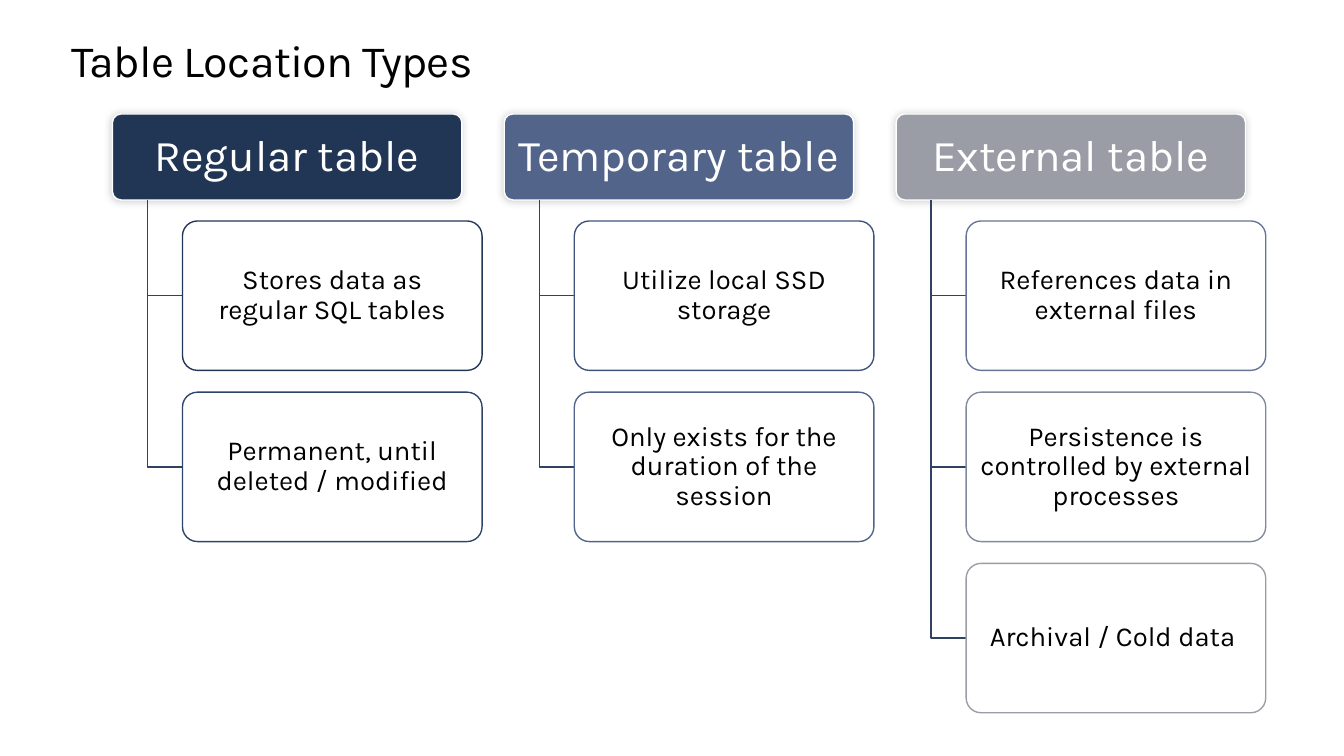
"""Build the slide that compares three table location types."""
from dataclasses import dataclass
from typing import Any

from lxml.etree import SubElement
from pptx import Presentation
from pptx.dml.color import RGBColor
from pptx.enum.shapes import MSO_SHAPE
from pptx.enum.text import MSO_ANCHOR as Anchor, MSO_AUTO_SIZE as AutoSize, PP_ALIGN as Align
from pptx.oxml.ns import qn
from pptx.util import Cm, Pt

FONT = "Karla"
BRANCH_COLOUR = "304162"
COLUMN_LEFT, COLUMN_PITCH = 2.89, 10.07
HEADER_TOP, HEADER_WIDTH, HEADER_HEIGHT = 2.93, 8.98, 2.21
CARD_TOP, CARD_PITCH, CARD_WIDTH, CARD_HEIGHT = 5.68, 4.4, 7.7, 3.84
INDENT = 0.9


@dataclass(frozen=True)
class Card:
    text: str
    outline: str


@dataclass(frozen=True)
class Column:
    title: str
    fill: str
    cards: tuple[Card, ...]


COLUMNS = (
    Column("Regular table", "213555", (
        Card("Stores data as regular SQL tables", "213555"),
        Card("Permanent, until deleted / modified", "2F4469"),
    )),
    Column("Temporary table", "526489", (
        Card("Utilize local SSD storage", "3F537A"),
        Card("Only exists for the duration of the session", "526489"),
    )),
    Column("External table", "9A9DA5", (
        Card("References data in external files", "667596"),
        Card("Persistence is controlled by external processes", "81899D"),
        Card("Archival / Cold data ", "9A9DA5"),
    )),
)


def apply(target: Any, values: dict[str, Any]) -> None:
    """Set every named attribute on the target."""
    for name, value in values.items():
        setattr(target, name, value)


def paint(colour_format: Any, colour: str) -> None:
    """Give a solid fill or a font a hex colour."""
    if hasattr(colour_format, "solid"):
        colour_format.solid()
        colour_format = colour_format.fore_color
    else:
        colour_format = colour_format.color
    colour_format.rgb = RGBColor.from_string(colour)


def outline(shape: Any, colour: str) -> None:
    """Draw a one-point line and drop the theme shadow."""
    paint(shape.line.fill, colour)
    shape.line.width = Pt(1)
    shape.shadow.inherit = False


def write(shape: Any, text: str, size: float, colour: str, margins: tuple[float, float],
          anchor: Anchor, align: Align, line_spacing: Any) -> None:
    """Put one formatted paragraph into a shape."""
    side, end = (Cm(margin) for margin in margins)
    frame = shape.text_frame
    frame.text = text
    apply(frame, {"margin_left": side, "margin_right": side, "margin_top": end, "margin_bottom": end,
                  "word_wrap": True, "auto_size": AutoSize.NONE, "vertical_anchor": anchor})
    paragraph = frame.paragraphs[0]
    apply(paragraph, {"alignment": align, "line_spacing": line_spacing})
    font = paragraph.runs[0].font
    apply(font, {"name": FONT, "size": Pt(size)})
    paint(font, colour)


def add_box(slide: Any, left: float, top: float, width: float, height: float, fill: str,
            line: str, text: str, size: float, colour: str) -> Any:
    """Add a rounded rectangle with centred text."""
    shape = slide.shapes.add_shape(
        MSO_SHAPE.ROUNDED_RECTANGLE, Cm(left), Cm(top), Cm(width), Cm(height))
    shape.adjustments[0] = 0.1
    paint(shape.fill, fill)
    outline(shape, line)
    write(shape, text, size, colour, (0.22, 0.15), Anchor.MIDDLE, Align.CENTER, 0.9)
    return shape


def add_alpha(colour_element: Any, percent: int) -> None:
    """Set the opacity of a colour element."""
    SubElement(colour_element, qn("a:alpha"), val=str(percent * 1000))


def add_soft_shadow(shape: Any) -> None:
    """Add a faint blurred shadow below the shape."""
    effects = shape.element.spPr.find(qn("a:effectLst"))
    shadow = SubElement(effects, qn("a:outerShdw"), blurRad=str(Pt(6)), dist=str(Pt(1)),
                        dir="8100000", rotWithShape="0")
    add_alpha(SubElement(shadow, qn("a:srgbClr"), val="000000"), 20)


def add_branch(slide: Any, left: float, top: float, bottom: float) -> None:
    """Draw the elbow from a header down to a card."""
    builder = slide.shapes.build_freeform(Cm(left), Cm(top))
    builder.add_line_segments(
        [(Cm(left), Cm(bottom)), (Cm(left + INDENT), Cm(bottom))], close=False)
    branch = builder.convert_to_shape()
    branch.fill.background()
    outline(branch, BRANCH_COLOUR)


def add_column(slide: Any, column: Column, left: float) -> None:
    """Draw a header with its branches and cards."""
    header = add_box(slide, left, HEADER_TOP, HEADER_WIDTH, HEADER_HEIGHT,
                     column.fill, "FFFFFF", column.title, 32, "FFFFFF")
    add_soft_shadow(header)
    for row, card in enumerate(column.cards):
        top = CARD_TOP + row * CARD_PITCH
        add_branch(slide, left + INDENT, HEADER_TOP + HEADER_HEIGHT, top + CARD_HEIGHT / 2)
        box = add_box(slide, left + 2 * INDENT, top, CARD_WIDTH, CARD_HEIGHT,
                      "FFFFFF", card.outline, card.text, 20, "000000")
        add_alpha(box.element.spPr.find(qn("a:solidFill"))[0], 90)


def add_title(slide: Any, text: str) -> None:
    """Place and format the slide title."""
    title = slide.shapes.title
    apply(title, {"left": Cm(1.85), "top": Cm(0.91), "width": Cm(30.84), "height": Cm(1.3)})
    paint(title.fill, "FFFFFF")
    write(title, text, 32.6, "000000", (0, 0), Anchor.TOP, Align.LEFT, Pt(36.9))
    title.text_frame.paragraphs[0].runs[0].font._element.set("spc", "-50")


def main() -> None:
    """Build and save the presentation."""
    presentation = Presentation()
    apply(presentation, {"slide_width": Cm(34.54), "slide_height": Cm(19.43)})
    slide = presentation.slides.add_slide(presentation.slide_layouts[5])
    paint(slide.background.fill, "FFFFFF")
    add_title(slide, "Table Location Types")
    for index, column in enumerate(COLUMNS):
        add_column(slide, column, COLUMN_LEFT + index * COLUMN_PITCH)
    presentation.save("out.pptx")


if __name__ == "__main__":
    main()
